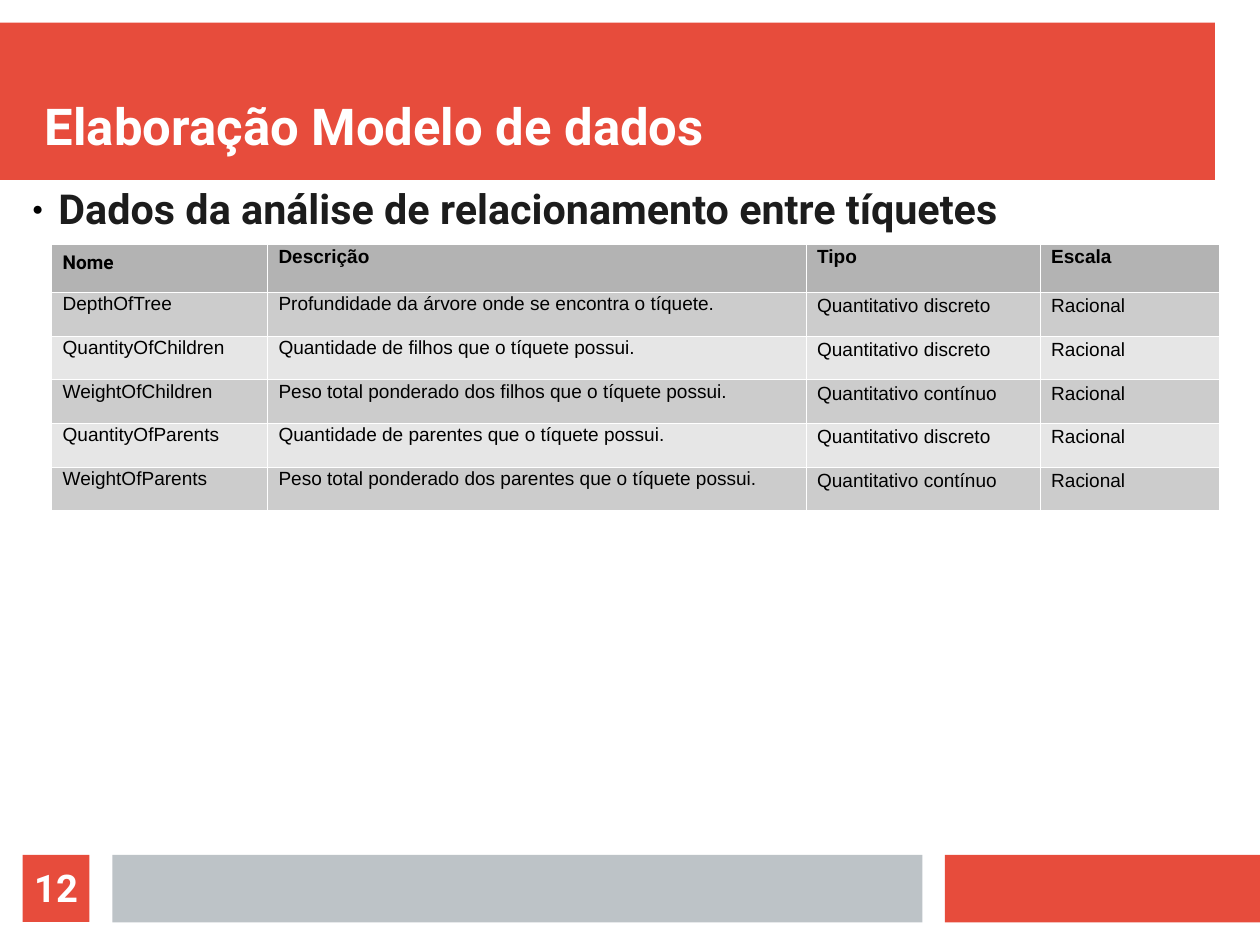
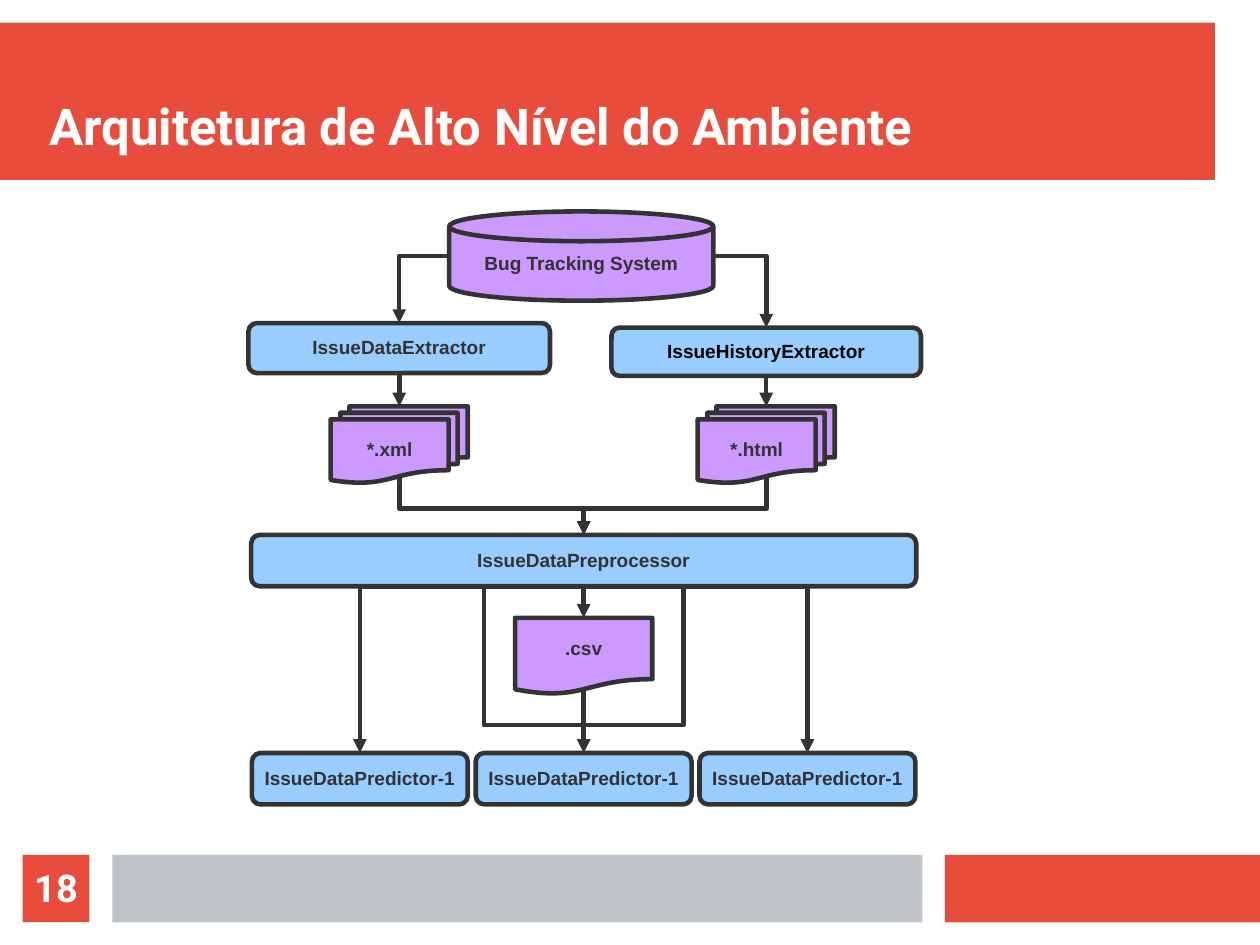
from lxml import etree
from pptx import Presentation
from pptx.dml.color import RGBColor
from pptx.enum.shapes import MSO_CONNECTOR, MSO_SHAPE
from pptx.enum.text import MSO_ANCHOR, MSO_AUTO_SIZE, PP_ALIGN
from pptx.oxml.ns import qn
from pptx.util import Pt

RECT = MSO_SHAPE.RECTANGLE
PROCESS = MSO_SHAPE.FLOWCHART_ALTERNATE_PROCESS
DISK = MSO_SHAPE.FLOWCHART_MAGNETIC_DISK
DOCUMENT = MSO_SHAPE.FLOWCHART_DOCUMENT
FILES = MSO_SHAPE.FLOWCHART_MULTIDOCUMENT
STRAIGHT, ELBOW = MSO_CONNECTOR.STRAIGHT, MSO_CONNECTOR.ELBOW
TOP, MIDDLE, BOTTOM = MSO_ANCHOR.TOP, MSO_ANCHOR.MIDDLE, MSO_ANCHOR.BOTTOM
LEFT, CENTER = PP_ALIGN.LEFT, PP_ALIGN.CENTER
TOP_SIDE, BOTTOM_SIDE = 0, 2

RED = RGBColor(0xE7, 0x4C, 0x3C)
SILVER = RGBColor(0xBD, 0xC3, 0xC7)
WHITE = RGBColor(0xFF, 0xFF, 0xFF)
BLACK = RGBColor(0, 0, 0)
INK = RGBColor(0x1C, 0x1C, 0x1C)
CHARCOAL = RGBColor(0x33, 0x33, 0x33)
BLUE = RGBColor(0x99, 0xCC, 0xFF)
PURPLE = RGBColor(0xCC, 0x99, 0xFF)
HEADER_GREY = RGBColor(0xB3, 0xB3, 0xB3)
ROW_GREYS = [RGBColor(0xCC, 0xCC, 0xCC), RGBColor(0xE6, 0xE6, 0xE6)]

# Text formats: (frame, paragraph, font, colour)
HEADING_FRAME = dict(margin_left=0, margin_top=Pt(2), margin_right=0, margin_bottom=0,
                     word_wrap=True, auto_size=MSO_AUTO_SIZE.NONE)
TITLE = (dict(HEADING_FRAME, vertical_anchor=BOTTOM),
         dict(alignment=LEFT, line_spacing=0.93),
         dict(name="Roboto", size=Pt(32), bold=True), WHITE)
TOPIC = (dict(HEADING_FRAME, vertical_anchor=TOP),
         dict(alignment=LEFT, line_spacing=0.93, space_after=Pt(11.5)),
         dict(name="Roboto", size=Pt(26), bold=True), INK)
PAGE_NUMBER = (dict(HEADING_FRAME, vertical_anchor=MIDDLE),
               dict(alignment=CENTER, line_spacing=0.93),
               dict(name="Roboto", size=Pt(24), bold=True), WHITE)
NODE_FRAME = dict(margin_left=Pt(8.6), margin_top=Pt(5), margin_right=Pt(8.6),
                  margin_bottom=Pt(5), word_wrap=False, vertical_anchor=MIDDLE)
NODE_PARAGRAPH = dict(alignment=CENTER, line_spacing=0.97)
NODE_FONT = dict(name="Arial", size=Pt(12), bold=True)


def write(frame, text, frame_format, paragraph_format, font_format, colour):
    paragraph = frame.paragraphs[0]
    run = paragraph.add_run()
    run.text = text
    for target, values in ((frame, frame_format), (paragraph, paragraph_format),
                           (run.font, font_format)):
        for name, value in values.items():
            setattr(target, name, value)
    run.font.color.rgb = colour


def add_block(slide, preset, box, fill, outline=None):
    block = slide.shapes.add_shape(preset, *map(Pt, box))
    block.shadow.inherit = False
    block.fill.solid()
    block.fill.fore_color.rgb = fill
    if outline is None:
        block.line.fill.background()
    else:
        block.line.color.rgb = outline
        block.line.width = Pt(2.89)
    return block


deck = Presentation()
deck.slide_width, deck.slide_height = Pt(793.75), Pt(595.25)
title_only = deck.slide_layouts[5]

# Titles and page numbers
slides = []
for title, title_left, page in (("Elaboração Modelo de dados", 28.3, "12"),
                                ("Arquitetura de Alto Nível do Ambiente", 31, "18")):
    slide = deck.slides.add_slide(title_only)
    heading = slide.shapes.title
    heading.left, heading.top = Pt(title_left), Pt(28.3)
    heading.width, heading.height = Pt(737), Pt(70.8)
    write(heading.text_frame, title, *TITLE)
    page_square = add_block(slide, RECT, (14.2, 538.5, 42.2, 42.2), RED)
    write(page_square.text_frame, page, *PAGE_NUMBER)
    slides.append(slide)
data_slide, architecture_slide = slides

# Bands, kept on the shared layout
for box, colour in (((0, 14.2, 765.4, 99.2), RED),
                    ((595.3, 538.5, 198.45, 42.5), RED),
                    ((70.8, 538.5, 510.2, 42.5), SILVER)):
    band = add_block(data_slide, RECT, box, colour)
    title_only.shapes.element.insert(2, band.element)

# Data model: topic line
topic = data_slide.shapes.add_textbox(Pt(20.2), Pt(116), Pt(723), Pt(68.4)).text_frame
bullet = topic.paragraphs[0]._p.get_or_add_pPr()
bullet.set("marL", str(Pt(16.6)))
bullet.set("indent", str(-Pt(16.6)))
bullet_colour = etree.SubElement(bullet, qn("a:buClr"))
etree.SubElement(bullet_colour, qn("a:srgbClr")).set("val", str(BLACK))
etree.SubElement(bullet, qn("a:buSzPct")).set("val", "45000")
etree.SubElement(bullet, qn("a:buFont")).set("typeface", "Arial")
etree.SubElement(bullet, qn("a:buChar")).set("char", "●")
write(topic, "Dados da análise de relacionamento entre tíquetes", *TOPIC)

# Data model: table of fields
fields = [
    ("Nome", "Descrição", "Tipo", "Escala"),
    ("DepthOfTree", "Profundidade da árvore onde se encontra o tíquete.",
     "Quantitativo discreto", "Racional"),
    ("QuantityOfChildren", "Quantidade de filhos que o tíquete possui.",
     "Quantitativo discreto", "Racional"),
    ("WeightOfChildren", "Peso total ponderado dos filhos que o tíquete possui.",
     "Quantitativo contínuo", "Racional"),
    ("QuantityOfParents", "Quantidade de parentes que o tíquete possui.",
     "Quantitativo discreto", "Racional"),
    ("WeightOfParents", "Peso total ponderado dos parentes que o tíquete possui.",
     "Quantitativo contínuo", "Racional"),
]
column_widths = [136, 339.3, 147.5, 112.7]
row_heights = [30] + [27.5] * 5
field_table = data_slide.shapes.add_table(
    len(fields), len(column_widths), Pt(32.3), Pt(154),
    Pt(sum(column_widths)), Pt(sum(row_heights))).table
for column, width in zip(field_table.columns, column_widths):
    column.width = Pt(width)
CELL_FRAME = dict(margin_left=Pt(7.2), margin_right=Pt(7.2),
                  margin_top=Pt(3.6), margin_bottom=Pt(3.6))
for r, (values, height) in enumerate(zip(fields, row_heights)):
    field_table.rows[r].height = Pt(height)
    for c, value in enumerate(values):
        cell = field_table.cell(r, c)
        for name, margin in CELL_FRAME.items():
            setattr(cell, name, margin)
        for side in ("a:lnL", "a:lnR", "a:lnT", "a:lnB"):
            border = etree.SubElement(cell._tc.get_or_add_tcPr(), qn(side))
            border.set("w", str(Pt(0.06)))
            border_fill = etree.SubElement(border, qn("a:solidFill"))
            etree.SubElement(border_fill, qn("a:srgbClr")).set("val", str(WHITE))
        cell.fill.solid()
        cell.fill.fore_color.rgb = HEADER_GREY if r == 0 else ROW_GREYS[(r - 1) % 2]
        corner = r == 0 and c == 0
        spacing = 1.08 if corner else 0.88 if r > 0 and c > 1 else 0.76
        write(cell.text_frame, value, {}, dict(line_spacing=spacing),
              dict(name="Roboto" if corner else "Arial", size=Pt(12), bold=r == 0), BLACK)

# Architecture: nodes as (text, preset, centre x, top, width, height, fill, ink)
XML_X, HTML_X, MID_X, PITCH = 251.5, 482.7, 367.7, 141
PREDICTOR_XS = [MID_X + step * PITCH for step in (-1, 0, 1)]
nodes = [
    ("Bug Tracking System", DISK, 366.2, 133.2, 166.4, 56.2, PURPLE, CHARCOAL),
    ("IssueDataExtractor", PROCESS, XML_X, 203.5, 190, 31.5, BLUE, CHARCOAL),
    ("IssueHistoryExtractor", PROCESS, HTML_X, 206.4, 195, 30.4, BLUE, BLACK),
    ("*.xml", FILES, XML_X, 256, 86.4, 48.2, PURPLE, CHARCOAL),
    ("*.html", FILES, HTML_X, 256, 86.4, 48.2, PURPLE, CHARCOAL),
    ("IssueDataPreprocessor", PROCESS, MID_X, 336.9, 419, 32.4, BLUE, CHARCOAL),
    (".csv", DOCUMENT, MID_X, 389.2, 86.4, 48.2, PURPLE, CHARCOAL),
] + [("IssueDataPredictor-1", PROCESS, x, 474.3, 136, 32.4, BLUE, CHARCOAL)
     for x in PREDICTOR_XS]
placed = []
for text, preset, center_x, top, width, height, fill, ink in nodes:
    node = add_block(architecture_slide, preset,
                     (center_x - width / 2, top, width, height), fill, CHARCOAL)
    write(node.text_frame, text, NODE_FRAME, NODE_PARAGRAPH, NODE_FONT, ink)
    placed.append(node)
data_extractor, history_extractor = placed[1:3]
preprocessor, middle_predictor = placed[5], placed[8]
arrows = []

# Straight arrows, joined to the process boxes
for x, start_y, end_y, source, target in (
        (XML_X, 235, 256, data_extractor, None),
        (HTML_X, 236.8, 256, history_extractor, None),
        (MID_X, 369.3, 389.2, preprocessor, None),
        (MID_X, 434.7, 474.3, None, middle_predictor)):
    arrow = architecture_slide.shapes.add_connector(
        STRAIGHT, Pt(x), Pt(start_y), Pt(x), Pt(end_y))
    if source is not None:
        arrow.begin_connect(source, BOTTOM_SIDE)
    if target is not None:
        arrow.end_connect(target, TOP_SIDE)
    arrows.append(arrow)

# Elbows leaving the disk sideways
for start_x, end_x, end_y in ((283, XML_X, 203.5), (449.4, HTML_X, 206.4)):
    arrow = architecture_slide.shapes.add_connector(
        ELBOW, Pt(start_x), Pt(161.3), Pt(end_x), Pt(end_y))
    arrow.element.spPr.find(qn("a:prstGeom")).set("prst", "bentConnector2")
    arrows.append(arrow)

# Elbows leaving the files downwards: a turned frame with its bends in percent
MERGE = ("bentConnector3", [55.2])
LOOP = ("bentConnector5", [55.8, -44.5, -164])
for start_x, start_y, end_x, end_y, (preset, bends) in (
        (XML_X, 300.4, MID_X, 336.9, MERGE),
        (HTML_X, 300.4, MID_X, 336.9, MERGE),
        (MID_X, 434.7, PREDICTOR_XS[0], 474.3, LOOP),
        (MID_X, 434.7, PREDICTOR_XS[2], 474.3, LOOP)):
    mid_x, mid_y = (start_x + end_x) / 2, (start_y + end_y) / 2
    half_drop, half_run = (end_y - start_y) / 2, abs(end_x - start_x) / 2
    arrow = architecture_slide.shapes.add_connector(
        ELBOW, Pt(mid_x - half_drop), Pt(mid_y - half_run),
        Pt(mid_x + half_drop), Pt(mid_y + half_run))
    turn = arrow.element.spPr.find(qn("a:xfrm"))
    if end_x > start_x:
        turn.set("rot", str(270 * 60000))
        turn.set("flipH", "1")
    else:
        turn.set("rot", str(90 * 60000))
    geometry = arrow.element.spPr.find(qn("a:prstGeom"))
    geometry.set("prst", preset)
    guides = geometry.find(qn("a:avLst"))
    for number, bend in enumerate(bends, 1):
        guide = etree.SubElement(guides, qn("a:gd"))
        guide.set("name", f"adj{number}")
        guide.set("fmla", f"val {round(bend * 1000)}")
    arrows.append(arrow)

# Arrow style
for arrow in arrows:
    arrow.line.color.rgb = CHARCOAL
    arrow.line.width = Pt(2.89)
    etree.SubElement(arrow.line._get_or_add_ln(), qn("a:tailEnd")).set("type", "triangle")
    etree.SubElement(arrow.element.spPr, qn("a:effectLst"))

deck.save("out.pptx")
